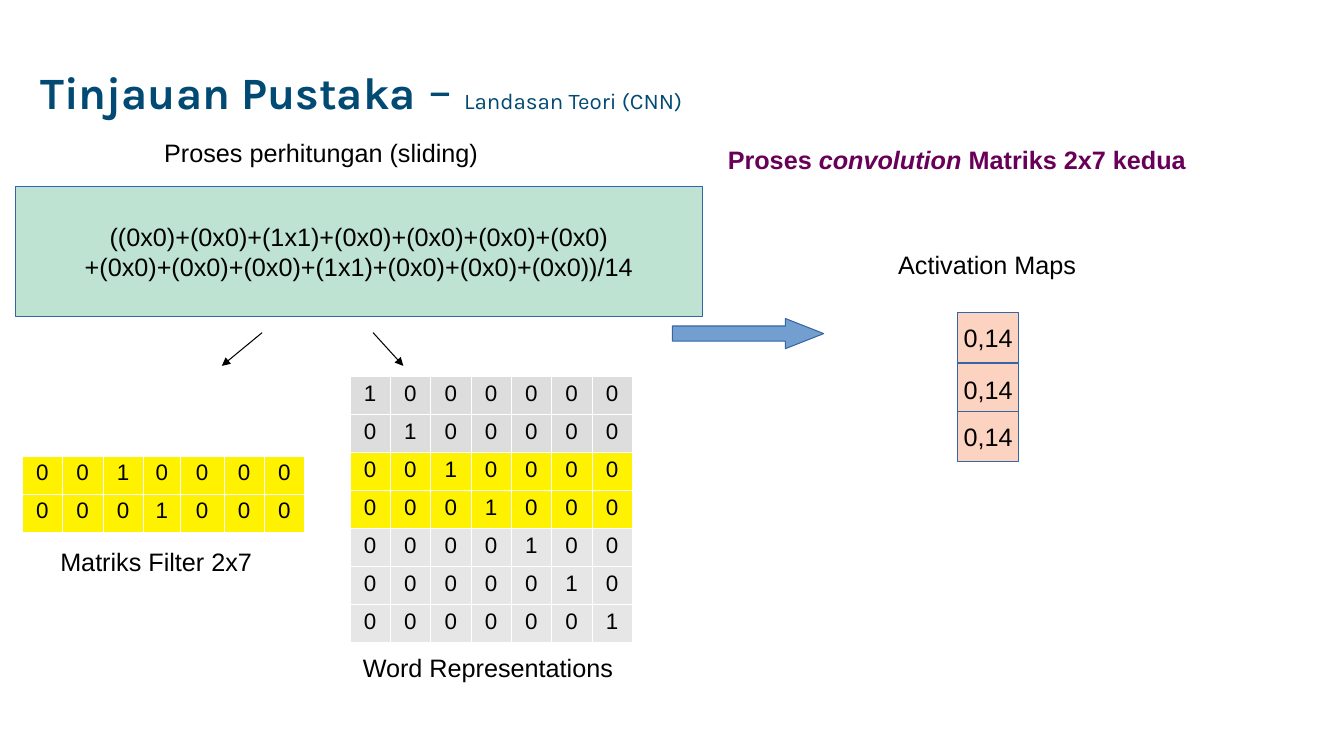
"""Build the CNN sliding-convolution slide."""
from dataclasses import dataclass

import pptx
import pptx.dml.color
import pptx.enum.shapes
import pptx.enum.text
import pptx.oxml
import pptx.oxml.ns
import pptx.oxml.xmlchemy
import pptx.shapes.autoshape
import pptx.slide
import pptx.util
from pptx.dml.color import RGBColor
from pptx.util import Inches

NAVY = RGBColor(0x01, 0x4A, 0x73)
PURPLE = RGBColor(0x68, 0x00, 0x59)
BLACK = RGBColor(0x00, 0x00, 0x00)
YELLOW = RGBColor(0xFF, 0xF2, 0x00)
GREY = RGBColor(0xDD, 0xDD, 0xDD)
LIGHT_GREY = RGBColor(0xE6, 0xE6, 0xE6)
MINT = RGBColor(0xBE, 0xE3, 0xD3)
PEACH = RGBColor(0xFC, 0xD3, 0xC1)
BLUE = RGBColor(0x72, 0x9F, 0xCF)
OUTLINE = RGBColor(0x34, 0x65, 0xA4)

SHAPE = pptx.enum.shapes.MSO_SHAPE
ALIGN = pptx.enum.text.PP_ALIGN
MIDDLE = pptx.enum.text.MSO_ANCHOR.MIDDLE


@dataclass
class Label:
    text: str
    left: float
    top: float
    width: float


@dataclass
class Matrix:
    left: float
    top: float
    col_widths: list[float]
    row_fills: list[RGBColor]
    first_one: int


@dataclass
class Block:
    kind: SHAPE
    left: float
    top: float
    width: float
    height: float
    fill: RGBColor
    lines: tuple[str, ...] = ()


@dataclass
class Pointer:
    x1: float
    x2: float


LABELS = [
    Label("Proses perhitungan (sliding)", 1.53, 1.31, 3.9),
    Label("Activation Maps", 8.81, 2.42, 2.19),
    Label("Matriks Filter 2x7", 0.5, 5.37, 2.46),
    Label("Word Representations", 3.5, 6.42, 3),
]
MATRICES = [
    Matrix(3.47, 3.73, [0.4] * 7, [GREY] * 2 + [YELLOW] * 2 + [LIGHT_GREY] * 3, 0),
    Matrix(0.22, 4.52, [0.4, 0.4, 0.4, 0.37, 0.43, 0.4, 0.4], [YELLOW] * 2, 2),
]
FORMULA = (
    "((0x0)+(0x0)+(1x1)+(0x0)+(0x0)+(0x0)+(0x0)",
    "+(0x0)+(0x0)+(0x0)+(1x1)+(0x0)+(0x0)+(0x0))/14",
)
BLOCKS = [Block(SHAPE.RECTANGLE, 0.15, 1.85, 6.82, 1.29, MINT, FORMULA)] + [
    Block(SHAPE.RECTANGLE, 9.5, top, 0.6, 0.5, PEACH, ("0,14",)) for top in (3.1, 3.61, 4.08)
]
RESULT_ARROW = Block(SHAPE.RIGHT_ARROW, 6.67, 3.16, 1.5, 0.3, BLUE)
POINTERS = [Pointer(2.6, 2.2), Pointer(3.7, 4)]


def style(font: pptx.text.text.Font, size: float, color: RGBColor = BLACK, name: str = "Arial") -> None:
    font.name, font.size = name, pptx.util.Pt(size)
    font.color.rgb = color


def add_title(slide: pptx.slide.Slide) -> None:
    sp = slide.shapes.title
    sp.left, sp.top, sp.width, sp.height = map(Inches, (0.3, 0.2, 7.6, 1.45))
    tf = sp.text_frame
    tf.auto_size = pptx.enum.text.MSO_AUTO_SIZE.NONE
    tf.vertical_anchor = MIDDLE
    p = tf.paragraphs[0]
    p.alignment, p.line_spacing = ALIGN.LEFT, 0.9
    for text, size, bold in (("Tinjauan Pustaka", 32, True), (" – ", 36, False), ("Landasan Teori (CNN)", 16, False)):
        r = p.add_run()
        r.text = text
        style(r.font, size, NAVY, "Karla")
        r.font.bold = bold


def add_text(slide: pptx.slide.Slide, left: float, top: float, width: float, height: float) -> pptx.text.text._Paragraph:
    tf = slide.shapes.add_textbox(*map(Inches, (left, top, width, height))).text_frame
    tf.word_wrap = True
    return tf.paragraphs[0]


def add_label(slide: pptx.slide.Slide, label: Label) -> None:
    p = add_text(slide, label.left, label.top, label.width, 0.38)
    p.text = label.text
    style(p.font, 18)


def add_heading(slide: pptx.slide.Slide) -> None:
    p = add_text(slide, 7.12, 1.38, 5.83, 0.66)
    for text, italic in (("Proses ", False), ("convolution", True), (" Matriks 2x7 kedua", False)):
        r = p.add_run()
        r.text, r.font.italic = text, italic
    style(p.font, 18, PURPLE)
    p.font.bold = True


def add_matrix(slide: pptx.slide.Slide, matrix: Matrix) -> None:
    rows, cols = len(matrix.row_fills), len(matrix.col_widths)
    row_height = 0.377
    frame = slide.shapes.add_table(
        rows, cols, *map(Inches, (matrix.left, matrix.top, sum(matrix.col_widths), rows * row_height)))
    table = frame.table
    for column, width in zip(table.columns, matrix.col_widths):
        column.width = Inches(width)
    for i, fill in enumerate(matrix.row_fills):
        for j in range(cols):
            cell = table.cell(i, j)
            add_borders(cell)
            cell.fill.solid()
            cell.fill.fore_color.rgb = fill
            p = cell.text_frame.paragraphs[0]
            p.text = "1" if j == i + matrix.first_one else "0"
            p.alignment = ALIGN.CENTER
            style(p.font, 16)
            p.font.bold = False


def add_borders(cell: pptx.table._Cell) -> None:
    tc_pr = cell._tc.get_or_add_tcPr()
    for side in "LRTB":
        tc_pr.append(pptx.oxml.parse_xml(
            f'<a:ln{side} {pptx.oxml.ns.nsdecls("a")} w="762"><a:solidFill>'
            f'<a:srgbClr val="FFFFFF"/></a:solidFill></a:ln{side}>'))


def add_block(slide: pptx.slide.Slide, block: Block) -> pptx.shapes.autoshape.Shape:
    sp = slide.shapes.add_shape(block.kind, *map(Inches, (block.left, block.top, block.width, block.height)))
    sp.shadow.inherit = False
    sp.fill.solid()
    sp.fill.fore_color.rgb = block.fill
    sp.line.color.rgb, sp.line.width = OUTLINE, pptx.util.Pt(0.75)
    tf = sp.text_frame
    tf.word_wrap, tf.vertical_anchor = False, MIDDLE
    for i, line in enumerate(block.lines):
        p = tf.add_paragraph() if i else tf.paragraphs[0]
        p.text, p.alignment = line, ALIGN.CENTER
        style(p.font, 18)
    return sp


def add_pointer(slide: pptx.slide.Slide, pointer: Pointer) -> None:
    line = slide.shapes.add_connector(
        pptx.enum.shapes.MSO_CONNECTOR.STRAIGHT, *map(Inches, (pointer.x1, 3.3, pointer.x2, 3.63)))
    line.line.color.rgb, line.line.width = BLACK, pptx.util.Pt(0.75)
    ns = pptx.oxml.ns.nsdecls("a")
    line.line._get_or_add_ln().append(pptx.oxml.parse_xml(f'<a:tailEnd {ns} type="triangle"/>'))
    line._element.spPr.append(pptx.oxml.parse_xml(f"<a:effectLst {ns}/>"))


def main() -> None:
    prs = pptx.Presentation()
    prs.slide_width, prs.slide_height = Inches(13.33), Inches(7.5)
    slide = prs.slides.add_slide(prs.slide_layouts[5])
    add_title(slide)
    add_heading(slide)
    for label in LABELS:
        add_label(slide, label)
    for matrix in MATRICES:
        add_matrix(slide, matrix)
    for block in BLOCKS:
        add_block(slide, block)
    arrow = add_block(slide, RESULT_ARROW)
    arrow.adjustments[1] = 1.27
    for pointer in POINTERS:
        add_pointer(slide, pointer)
    prs.save("out.pptx")


if __name__ == "__main__":
    main()
